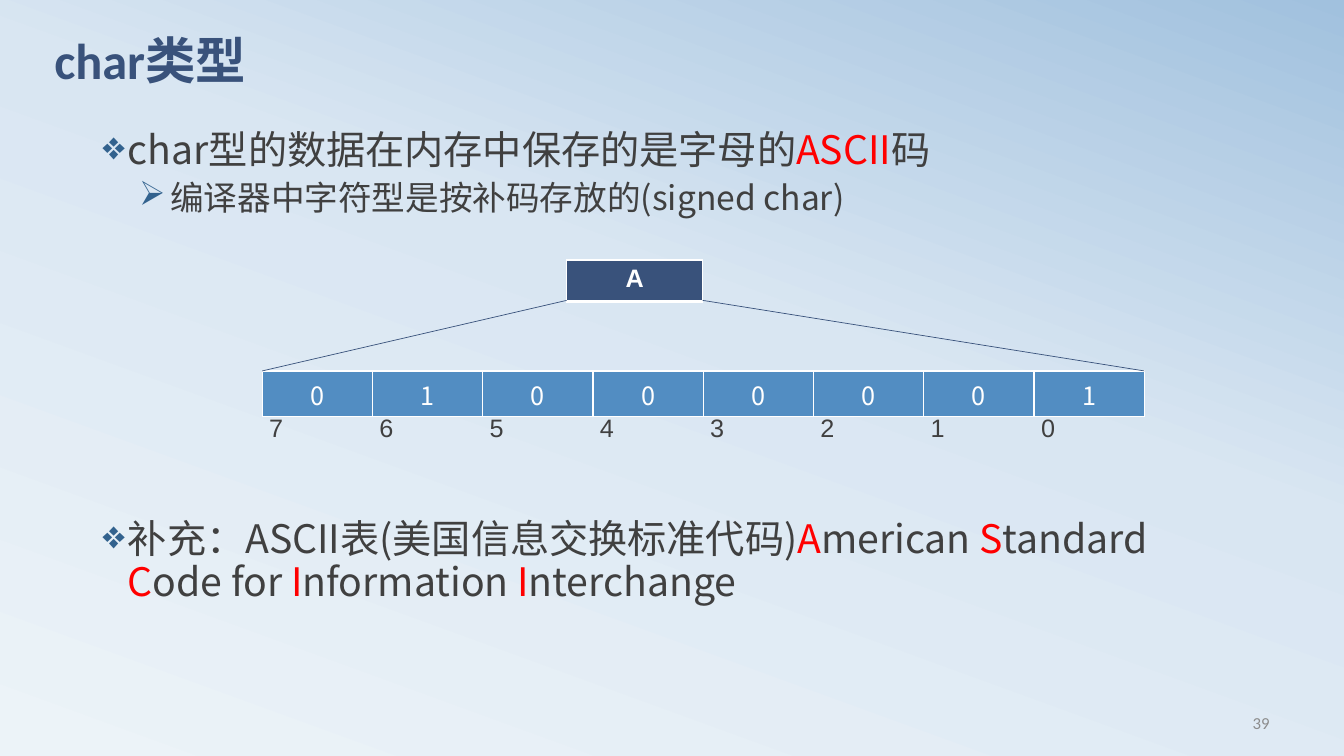
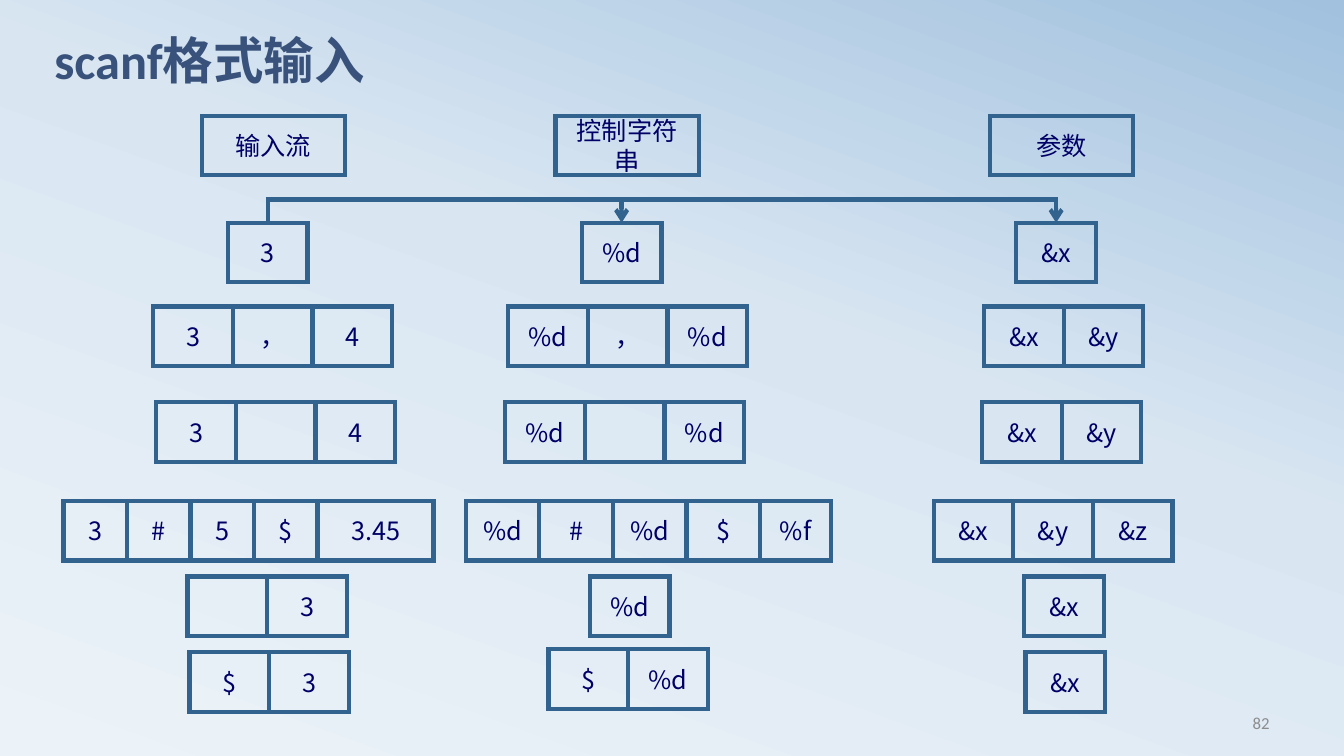
from copy import deepcopy
from dataclasses import dataclass
from itertools import accumulate

from lxml import etree
from pptx import Presentation
from pptx import util as u
from pptx.dml.color import RGBColor
from pptx.enum import shapes, text
from pptx.oxml import ns

# Shared look
WIDTH, HEIGHT = 13.33, 7.5
NAVY = RGBColor(0x39, 0x52, 0x7B)
STEEL = RGBColor(0x32, 0x62, 0x8E)
BLUE = RGBColor(0x52, 0x8D, 0xC2)
INK = RGBColor(0x00, 0x00, 0x66)
DARK = RGBColor(0x40, 0x40, 0x40)
GRAY = RGBColor(0x8C, 0x8C, 0x8C)
RED = RGBColor(0xFF, 0x00, 0x00)
WHITE = RGBColor(0xFF, 0xFF, 0xFF)
BACKGROUND = [
    (0.0, RGBColor(0xEC, 0xF3, 0xF8)),
    (0.58, RGBColor(0xD9, 0xE6, 0xF2)),
    (1.0, RGBColor(0xA1, 0xC1, 0xDE)),
]
CJK = "Noto Sans CJK SC"
CENTER = text.PP_ALIGN.CENTER

# Grid of the bit diagram and of the cell rows
BITS = "01000001"
BIT_LEFT, BIT_TOP, BIT = 2.6, 3.68, 8.75 / len(BITS)
CELL, CELL_HEIGHT = 0.79, 0.59
HEADING_WIDTH, HEADING_TOP = 1.42, 1.15
FIRST_ROW, BAR_TOP = 2.21, 1.98


@dataclass(frozen=True)
class Style:
    size: float
    color: RGBColor = DARK
    font: str = CJK
    bold: bool = False


@dataclass(frozen=True)
class Bullet:
    mark: str
    size: float
    margin: float
    indent: float
    before: float
    runs: tuple[tuple[str, RGBColor], ...]


@dataclass(frozen=True)
class CellRow:
    left: float
    top: float
    labels: tuple[str, ...]
    widths: tuple[float, ...] = ()


CELL_STYLE = Style(18, INK)
TITLE_STYLE = Style(36, NAVY, "Calibri", True)
NUMBER_STYLE = Style(12, GRAY, "Calibri")


def add_element(parent, tag: str, **attributes: str):
    element = etree.SubElement(parent, ns.qn(tag))
    for name, value in attributes.items():
        element.set(name, value)
    return element


def add_run(paragraph, words: str, style: Style) -> None:
    run = paragraph.add_run()
    run.text = words
    run.font.size = u.Pt(style.size)
    run.font.name = style.font
    run.font.bold = style.bold
    run.font.color.rgb = style.color
    add_element(run.font._element, "a:ea", typeface=CJK)


def add_text_frame(slide, left: float, top: float, width: float, height: float):
    box = slide.shapes.add_textbox(*map(u.Inches, (left, top, width, height)))
    box.text_frame.word_wrap = True
    return box.text_frame


def add_base_slide(presentation, title: str, number: str):
    """Blank slide with the shared background, title and page number."""
    slide = presentation.slides.add_slide(presentation.slide_layouts[6])
    fill = slide.background.fill
    fill.gradient()
    fill.gradient_angle = 70
    stop_list = slide.element.find(".//" + ns.qn("a:gsLst"))
    stop_list.append(deepcopy(stop_list[0]))
    for stop, (position, color) in zip(fill.gradient_stops, BACKGROUND):
        stop.position = position
        stop.color.rgb = color

    paragraph = add_text_frame(slide, 0.44, 0.36, 12, 0.94).paragraphs[0]
    paragraph.line_spacing = 0.8
    add_run(paragraph, title, TITLE_STYLE)

    frame = add_text_frame(slide, 9.58, 6.97, 3.11, 0.4)
    frame.vertical_anchor = text.MSO_ANCHOR.MIDDLE
    frame.paragraphs[0].alignment = text.PP_ALIGN.RIGHT
    add_run(frame.paragraphs[0], number, NUMBER_STYLE)
    return slide


def add_bullets(slide, top: float, height: float, bullets: list[Bullet]) -> None:
    frame = add_text_frame(slide, 0.92, top, 11.25, height)
    for index, bullet in enumerate(bullets):
        paragraph = frame.add_paragraph() if index else frame.paragraphs[0]
        paragraph.line_spacing = 0.9
        paragraph.space_before = u.Pt(bullet.before)
        properties = paragraph._p.get_or_add_pPr()
        properties.set("marL", str(u.Inches(bullet.margin)))
        properties.set("indent", str(u.Inches(bullet.indent)))
        color = add_element(properties, "a:buClr")
        add_element(color, "a:srgbClr", val=str(STEEL))
        add_element(properties, "a:buChar", char=bullet.mark)
        for words, run_color in bullet.runs:
            add_run(paragraph, words, Style(bullet.size, run_color))


def add_line(slide, start: tuple[float, float], end: tuple[float, float],
             color: RGBColor, weight: float, arrow: bool = False) -> None:
    connector = slide.shapes.add_connector(
        shapes.MSO_CONNECTOR.STRAIGHT, *map(u.Inches, (*start, *end)))
    connector.line.color.rgb = color
    connector.line.width = u.Pt(weight)
    if arrow:
        add_element(connector.line._get_or_add_ln(), "a:tailEnd", type="arrow")
    add_element(connector._element.spPr, "a:effectLst")


def add_bit_table(slide, left: float, top: float, column: float, height: float,
                  labels: str, style: Style, fill: RGBColor, bottom: float) -> None:
    """One-row table with white borders, one character to a cell."""
    size = (left, top, column * len(labels), height)
    table = slide.shapes.add_table(1, len(labels), *map(u.Inches, size)).table
    table.first_row = table.horz_banding = False
    for index, label in enumerate(labels):
        table.columns[index].width = u.Inches(column)
        cell = table.cell(0, index)
        cell.margin_left = cell.margin_right = u.Inches(0.13)
        cell.margin_top = cell.margin_bottom = u.Inches(0.05)
        properties = cell._tc.get_or_add_tcPr()
        for side in "LRTB":
            weight = bottom if side == "B" else 1
            border = add_element(properties, f"a:ln{side}", w=str(u.Pt(weight)))
            border_fill = add_element(border, "a:solidFill")
            add_element(border_fill, "a:srgbClr", val=str(WHITE))
        cell.fill.solid()
        cell.fill.fore_color.rgb = fill
        paragraph = cell.text_frame.paragraphs[0]
        paragraph.alignment = CENTER
        add_run(paragraph, label, style)


def add_cell(slide, left: float, top: float, width: float, label: str) -> None:
    cell = slide.shapes.add_shape(
        shapes.MSO_SHAPE.RECTANGLE,
        *map(u.Inches, (left, top, width, CELL_HEIGHT)))
    cell.shadow.inherit = False
    cell.fill.background()
    cell.line.color.rgb = STEEL
    cell.line.width = u.Pt(3)
    add_element(cell.line._get_or_add_ln(), "a:miter", lim="800000")
    if label:
        cell.text_frame.vertical_anchor = text.MSO_ANCHOR.MIDDLE
        cell.text_frame.word_wrap = True
        paragraph = cell.text_frame.paragraphs[0]
        paragraph.alignment = CENTER
        add_run(paragraph, label, CELL_STYLE)


def add_cell_row(slide, row: CellRow) -> None:
    widths = row.widths or (CELL,) * len(row.labels)
    lefts = accumulate(widths[:-1], initial=row.left)
    for left, width, label in zip(lefts, widths, row.labels):
        add_cell(slide, left, row.top, width, label)


def build_char_slide(presentation) -> None:
    slide = add_base_slide(presentation, "char类型", "39")
    add_bullets(slide, 1.25, 1.1, [
        Bullet("❖", 28, 0.25, -0.25, 18, (
            ("char型的数据在内存中保存的是字母的", DARK), ("ASCII", RED), ("码", DARK))),
        Bullet("➢", 24, 0.67, -0.31, 6, (
            ("编译器中字符型是按补码存放的(signed char)", DARK),)),
    ])
    add_bullets(slide, 5.11, 1.1, [
        Bullet("❖", 28, 0.25, -0.25, 18, (
            ("补充：ASCII表(美国信息交换标准代码)", DARK),
            ("A", RED), ("merican ", DARK), ("S", RED), ("tandard ", DARK),
            ("C", RED), ("ode for ", DARK), ("I", RED), ("nformation ", DARK),
            ("I", RED), ("nterchange", DARK))),
    ])

    # Letter expanded into its eight bits
    letter_left, letter_width = 5.62, 1.35
    add_bit_table(slide, letter_left, 2.58, letter_width, 0.41, "A",
                  Style(18, WHITE, "Arial", True), NAVY, 3)
    add_bit_table(slide, BIT_LEFT, BIT_TOP, BIT, 0.45, BITS,
                  Style(18, WHITE), BLUE, 1)
    bits_right = BIT_LEFT + BIT * len(BITS)
    for start, end in ((letter_left, BIT_LEFT),
                       (letter_left + letter_width, bits_right)):
        add_line(slide, (start, 2.98), (end, BIT_TOP), NAVY, 0.5)

    # Bit numbers on tab stops, one per column
    paragraph = add_text_frame(slide, 2.57, 4.04, 8.75, 0.4).paragraphs[0]
    tabs = add_element(paragraph._p.get_or_add_pPr(), "a:tabLst")
    for column in range(1, len(BITS)):
        add_element(tabs, "a:tab", pos=str(u.Inches(BIT * column)), algn="l")
    add_run(paragraph, "\t".join("76543210"), Style(18, DARK, "Arial"))


def build_scanf_slide(presentation) -> None:
    slide = add_base_slide(presentation, "scanf格式输入", "82")
    for left, heading in ((2, "输入流"), (5.51, "控制字符串"), (9.82, "参数")):
        add_cell(slide, left, HEADING_TOP, HEADING_WIDTH, heading)

    # Input stream, control string and arguments of each example
    rows = [
        CellRow(2.26, FIRST_ROW, ("3",)),
        CellRow(5.77, FIRST_ROW, ("%d",)),
        CellRow(10.08, FIRST_ROW, ("&x",)),
        CellRow(1.52, 3.04, ("3", "，", "4")),
        CellRow(5.04, 3.04, ("%d", "，", "%d")),
        CellRow(9.76, 3.04, ("&x", "&y")),
        CellRow(1.55, 3.99, ("3", "", "4")),
        CellRow(5.01, 3.99, ("%d", "", "%d")),
        CellRow(9.74, 3.99, ("&x", "&y")),
        CellRow(0.63, 4.97, ("3", "#", "5", "$", "3.45"), (0.63,) * 4 + (1.15,)),
        CellRow(4.62, 4.97, ("%d", "#", "%d", "$", "%f"), (0.73,) * 4 + (0.7,)),
        CellRow(9.26, 4.97, ("&x", "&y", "&z")),
        CellRow(1.86, 5.72, ("", "3")),
        CellRow(5.85, 5.72, ("%d",)),
        CellRow(10.16, 5.72, ("&x",)),
        CellRow(1.88, 6.47, ("$", "3")),
        CellRow(5.44, 6.44, ("$", "%d")),
        CellRow(10.17, 6.47, ("&x",)),
    ]
    for row in rows:
        add_cell_row(slide, row)

    # Bus from the input value to its format and its argument
    source, *targets = (row.left + CELL / 2 for row in rows[:3])
    half_line = 0.02
    add_line(slide, (source, FIRST_ROW), (source, BAR_TOP), STEEL, 3)
    add_line(slide, (source - half_line, BAR_TOP),
             (targets[-1] + half_line, BAR_TOP), STEEL, 3)
    for target in targets:
        add_line(slide, (target, BAR_TOP), (target, FIRST_ROW), STEEL, 3, arrow=True)


def main() -> None:
    presentation = Presentation()
    presentation.slide_width = u.Inches(WIDTH)
    presentation.slide_height = u.Inches(HEIGHT)
    build_char_slide(presentation)
    build_scanf_slide(presentation)
    presentation.save("out.pptx")


if __name__ == "__main__":
    main()
